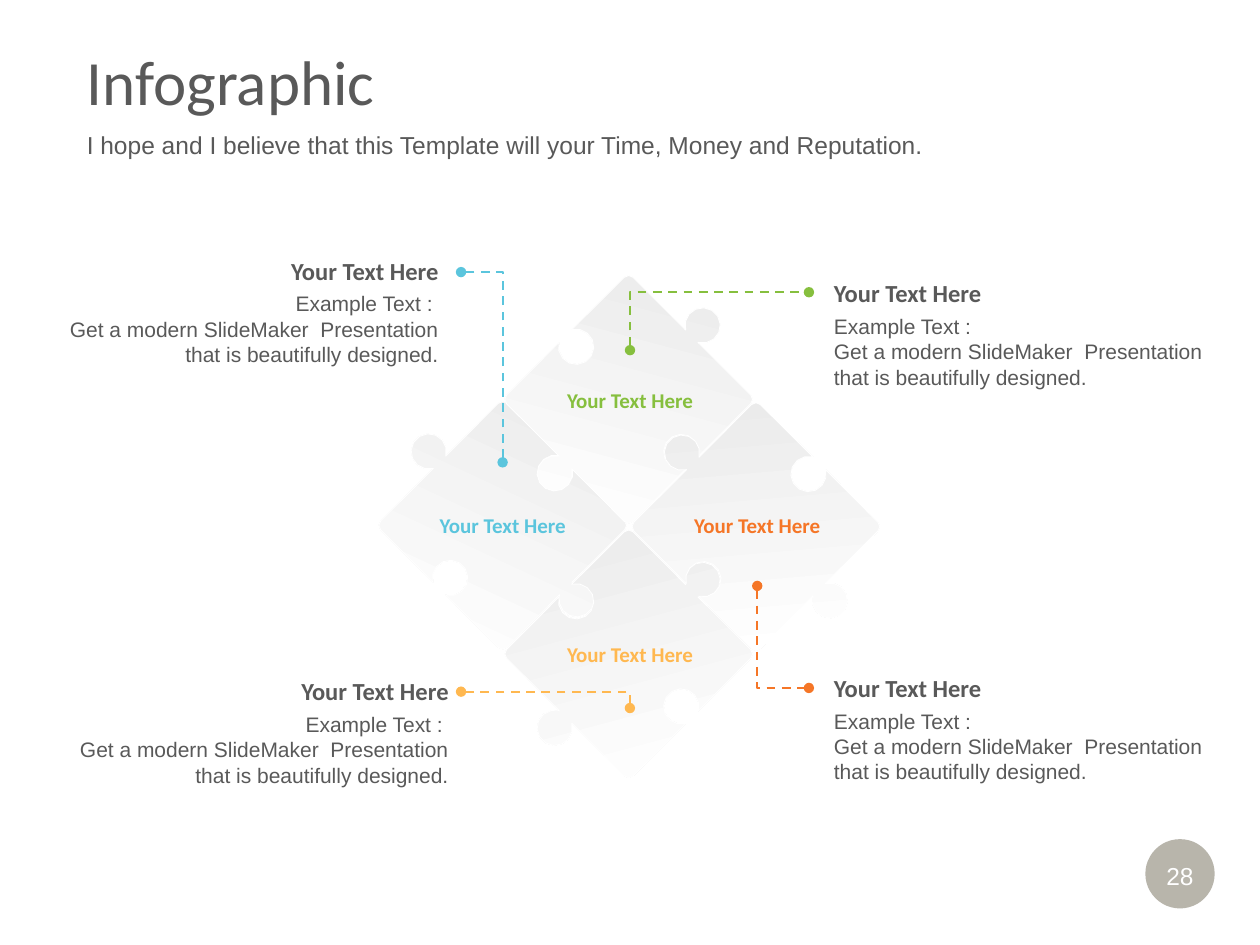
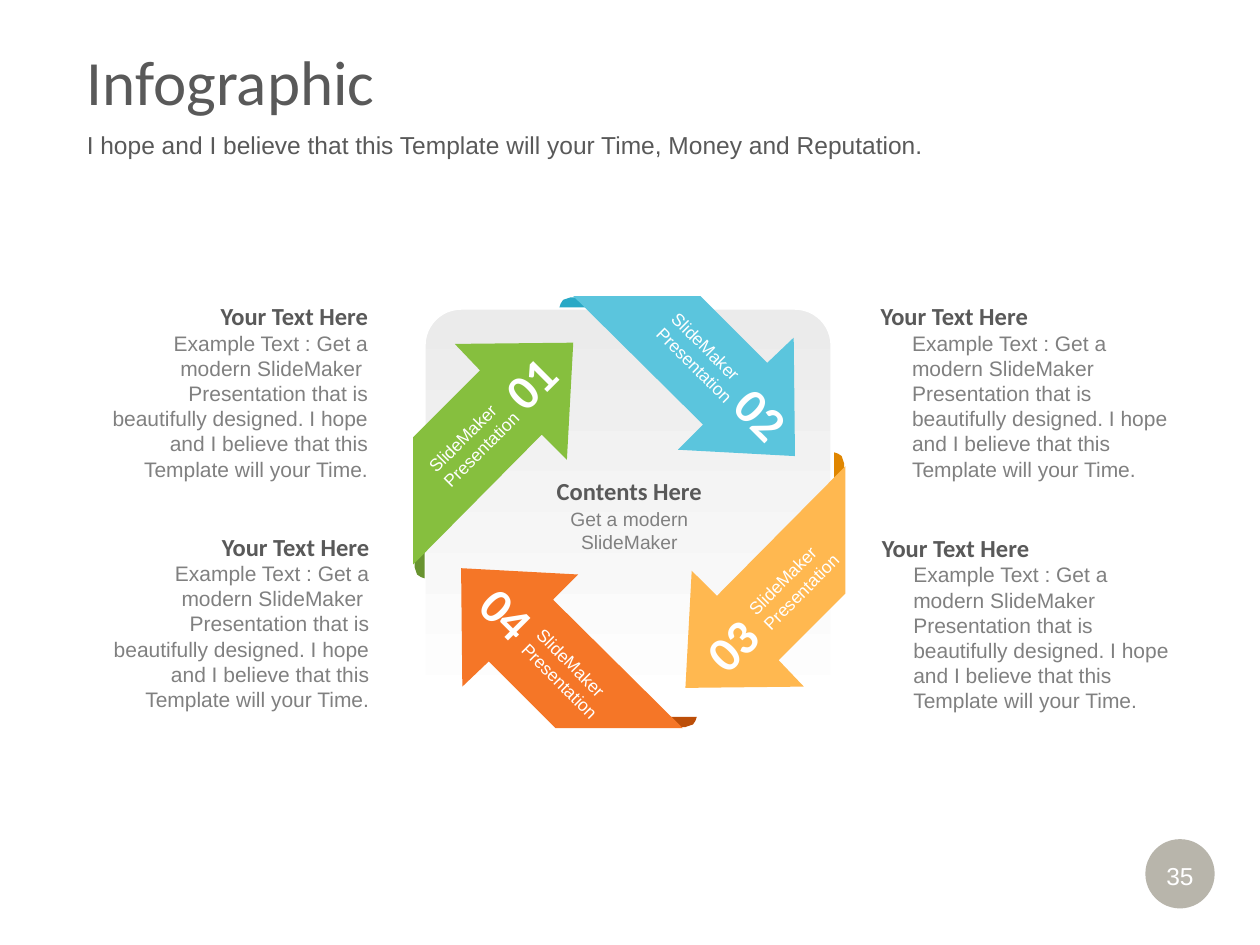
import math

import pptx
import pptx.dml.color
import pptx.enum.dml
import pptx.enum.shapes
import pptx.enum.text
import pptx.oxml.ns
import pptx.util
from lxml import etree

Inches = pptx.util.Inches
Pt = pptx.util.Pt
RGB = pptx.dml.color.RGBColor
SHAPE = pptx.enum.shapes.MSO_SHAPE
ALIGN = pptx.enum.text.PP_ALIGN
MIDDLE = pptx.enum.text.MSO_ANCHOR.MIDDLE
LEFT, CENTER, RIGHT = ALIGN.LEFT, ALIGN.CENTER, ALIGN.RIGHT

# Colours
WHITE = RGB(0xFF, 0xFF, 0xFF)
DARK = RGB(0x59, 0x59, 0x59)
GRAY = RGB(0x80, 0x80, 0x80)
PALE = RGB(0xEB, 0xEB, 0xEB)
STONE = RGB(0xB8, 0xB5, 0xAB)
GREEN = RGB(0x86, 0xBF, 0x3E)
BLUE = RGB(0x5B, 0xC5, 0xDD)
AMBER = RGB(0xFF, 0xB8, 0x50)
ORANGE = RGB(0xF5, 0x76, 0x27)
DEEP_GREEN = RGB(0x68, 0x93, 0x30)
DEEP_BLUE = RGB(0x29, 0xA9, 0xC6)
DEEP_AMBER = RGB(0xE0, 0x86, 0x00)
DEEP_ORANGE = RGB(0xBC, 0x4E, 0x08)

# Text formats
TITLE = {"size": Pt(36), "name": "Calibri", "bold": False}
LEAD = {"size": Pt(14), "name": "Arial"}
HEAD = {"size": Pt(14), "name": "Calibri", "bold": True}
LABEL = {"size": Pt(12), "name": "Calibri", "bold": True}
BODY = {"size": Pt(12), "name": "Arial"}
NOTE = {"size": Pt(11), "name": "Arial"}
COUNT = {"size": Pt(28), "name": "Calibri", "bold": True}
SMALL = {"size": Pt(10), "name": "Arial"}

HEADING = "Your Text Here"
SHORT = ["Example Text : ",
         "Get a modern SlideMaker  Presentation that is beautifully designed."]
LONG = ["Example Text : Get a modern SlideMaker  Presentation that is beautifully "
        "designed. I hope and I believe that this Template will your Time."]


# Shared helpers
def write(frame, lines, style, color, align=LEFT):
    frame.word_wrap = True
    for i, line in enumerate(lines):
        para = frame.paragraphs[0] if i == 0 else frame.add_paragraph()
        para.alignment = align
        run = para.add_run()
        run.text = line
        for key, value in style.items():
            setattr(run.font, key, value)
        run.font.color.rgb = color


def add_text(slide, box, lines, style, color, align=LEFT, turn=0):
    shape = slide.shapes.add_textbox(*map(Inches, box))
    shape.rotation = turn
    write(shape.text_frame, lines, style, color, align)
    return shape


def paint(shape, color):
    shape.shadow.inherit = False
    shape.fill.solid()
    shape.fill.fore_color.rgb = color
    shape.line.fill.background()


def fade(shape, angle, width):
    """Fill from pale to white along a clockwise angle, with a white edge."""
    shape.shadow.inherit = False
    shape.fill.gradient()
    shape.fill.gradient_angle = 360 - angle
    for stop, color, place in zip(shape.fill.gradient_stops, (PALE, WHITE), (0, 1)):
        stop.color.rgb = color
        stop.position = place
    shape.line.color.rgb = WHITE
    shape.line.width = Pt(width)


def add_form(slide, points):
    spots = [(Inches(x), Inches(y)) for x, y in points]
    form = slide.shapes.build_freeform(*spots[0], scale=1.0)
    form.add_line_segments(spots[1:], close=True)
    return form.convert_to_shape()


def add_slide(deck, number):
    slide = deck.slides.add_slide(deck.slide_layouts[5])
    title = slide.shapes.title
    places = {"left": 0.59, "top": 0.28, "width": 9.41, "height": 0.71}
    for key, value in places.items():
        setattr(title, key, Inches(value))
    title.text_frame.vertical_anchor = MIDDLE
    write(title.text_frame, ["Infographic"], TITLE, DARK)
    lead = add_text(slide, (0.59, 0.99, 9.41, 0.31),
                    ["I hope and I believe that this Template will your Time, "
                     "Money and Reputation."], LEAD, DARK)
    lead.text_frame.vertical_anchor = MIDDLE
    # Page badge
    badge = slide.shapes.add_shape(SHAPE.OVAL, *map(Inches, (9.09, 6.66, 0.55, 0.55)))
    paint(badge, STONE)
    frame = badge.text_frame
    margins = {"left": 0, "right": 0, "top": 0.05, "bottom": 0.02}
    for side, value in margins.items():
        setattr(frame, "margin_" + side, Inches(value))
    frame.vertical_anchor = MIDDLE
    write(frame, [str(number)], LEAD, WHITE, CENTER)
    return slide


# Puzzle slide
def arc(x, y, radius, start, end, steps):
    for i in range(steps + 1):
        a = math.radians(start + (end - start) * i / steps)
        yield x + radius * math.cos(a), y + radius * math.sin(a)


def piece_points(x, y, turn):
    """Diamond whose sides carry a knob and a hole in turn."""
    half, bend, knob, neck = 0.71, 0.05, 0.14, 0.12
    points = []
    for k in range(4):
        if k % 2:
            side = list(arc(0, -half + neck, knob, -120, -420, 11))
        else:
            side = list(arc(0, -half - neck, knob, 120, 420, 11))
        side += arc(half - bend, -half + bend, bend, -90, 0, 2)
        a = math.radians(turn + 90 * k)
        points += [(x + u * math.cos(a) - v * math.sin(a),
                    y + u * math.sin(a) + v * math.cos(a)) for u, v in side]
    return points


def add_link(slide, start, end, color):
    """Dashed elbow that runs upright first, then level, with dots at both ends."""
    link = slide.shapes.add_connector(pptx.enum.shapes.MSO_CONNECTOR.ELBOW,
                                      *map(Inches, start + end))
    link.line.color.rgb = color
    link.line.width = Pt(1.25)
    link.line.dash_style = pptx.enum.dml.MSO_LINE.DASH
    qn = pptx.oxml.ns.qn
    props = link._element.spPr
    line = props.find(qn("a:ln"))
    for tag in ("a:headEnd", "a:tailEnd"):
        etree.SubElement(line, qn(tag), type="oval")
    etree.SubElement(props, qn("a:effectLst"))
    guides = props.find(qn("a:prstGeom")).find(qn("a:avLst"))
    etree.SubElement(guides, qn("a:gd"), name="adj1", fmla="val 0")


def draw_puzzle(deck):
    slide = add_slide(deck, 28)
    # Pieces: centre, turn, fade angle
    pieces = [(3.99, 4.17, -45, 115), (4.99, 3.17, 45, 105),
              (4.99, 5.19, 45, 75), (6, 4.18, -45, 85)]
    for x, y, turn, angle in pieces:
        fade(add_form(slide, piece_points(x, y, turn)), angle, 0.5)
    # Piece labels
    for x, y, color in [(4.29, 3.03, GREEN), (3.28, 4.02, BLUE),
                        (5.3, 4.02, ORANGE), (4.29, 5.04, AMBER)]:
        add_text(slide, (x, y, 1.42, 0.3), [HEADING], LABEL, color, CENTER)
    # Notes
    for x, y, align in [(6.52, 2.16, LEFT), (6.52, 5.29, LEFT),
                        (0.43, 1.98, RIGHT), (0.51, 5.32, RIGHT)]:
        add_text(slide, (x, y, 3.15, 0.34), [HEADING], HEAD, DARK, align)
        add_text(slide, (x, y + 0.28, 3.15, 0.71), SHORT, BODY, DARK, align)
    # Links
    for start, end, color in [((5, 2.78), (6.42, 2.32), GREEN),
                              ((6.01, 4.65), (6.42, 5.46), ORANGE),
                              ((3.99, 3.67), (3.66, 2.16), BLUE),
                              ((5, 5.62), (3.66, 5.49), AMBER)]:
        add_link(slide, start, end, color)


# Arrow slide
# Offsets from the tip of the first arrow; each next one is a quarter turn on
ARROW = [(0, 0), (-0.05, 0.93), (-0.25, 0.73), (-1.27, 1.76),
         (-1.27, 0.75), (-0.74, 0.22), (-0.94, 0.01)]
FOLD = [(-1.18, 1.23), (-1.18, 1.87), (-1.21, 1.86), (-1.24, 1.84),
        (-1.26, 1.78), (-1.26, 1.32), (-1.24, 1.26), (-1.21, 1.24)]


def spin(points, tip, turns):
    for _ in range(turns):
        points = [(-y, x) for x, y in points]
    return [(tip[0] + x, tip[1] + y) for x, y in points]


def draw_arrows(deck):
    slide = add_slide(deck, 35)
    # Centre panel
    panel = slide.shapes.add_shape(SHAPE.ROUNDED_RECTANGLE,
                                   *map(Inches, (3.37, 2.45, 3.23, 3.23)))
    panel.adjustments[0] = 0.09
    fade(panel, 90, 1.25)
    # Arrows: tip, colours, corner of the count, corner of the caption
    arrows = [((4.55, 2.72), GREEN, DEEP_GREEN, (3.85, 2.75), (3.27, 3.28)),
              ((6.31, 3.62), BLUE, DEEP_BLUE, (5.69, 3), (5.08, 2.63)),
              ((5.44, 5.46), AMBER, DEEP_AMBER, (5.45, 4.83), (5.81, 4.41)),
              ((3.66, 4.51), ORANGE, DEEP_ORANGE, (3.67, 4.58), (4.01, 5.14))]
    for i, (tip, color, deep, count, words) in enumerate(arrows):
        paint(add_form(slide, spin(FOLD, tip, i)), deep)
        paint(add_form(slide, spin(ARROW, tip, i)), color)
        turn = 45 if i % 2 else 315
        add_text(slide, count + (0.71, 0.57), [f"{i + 1:02}"], COUNT, WHITE, CENTER, turn)
        add_text(slide, words + (1, 0.44), ["SlideMaker", "Presentation"],
                 SMALL, WHITE, LEFT, turn)
    # Notes: heading corner, body left
    for x, y, left, align in [(6.89, 2.34, 7.14, LEFT), (6.9, 4.18, 7.15, LEFT),
                              (0.42, 2.34, 0.67, RIGHT), (0.43, 4.17, 0.68, RIGHT)]:
        add_text(slide, (x, y, 2.6, 0.34), [HEADING], HEAD, DARK, align)
        add_text(slide, (left, y + 0.23, 2.35, 1.31), LONG, BODY, GRAY, align)
    # Centre text
    add_text(slide, (4.17, 3.73, 1.65, 0.34), ["Contents Here"], HEAD, DARK, CENTER)
    add_text(slide, (4.17, 3.98, 1.65, 0.47), ["Get a modern SlideMaker"],
             NOTE, GRAY, CENTER)


def main():
    deck = pptx.Presentation()
    deck.slide_width, deck.slide_height = Inches(10), Inches(7.5)
    draw_puzzle(deck)
    draw_arrows(deck)
    deck.save("out.pptx")


if __name__ == "__main__":
    main()
